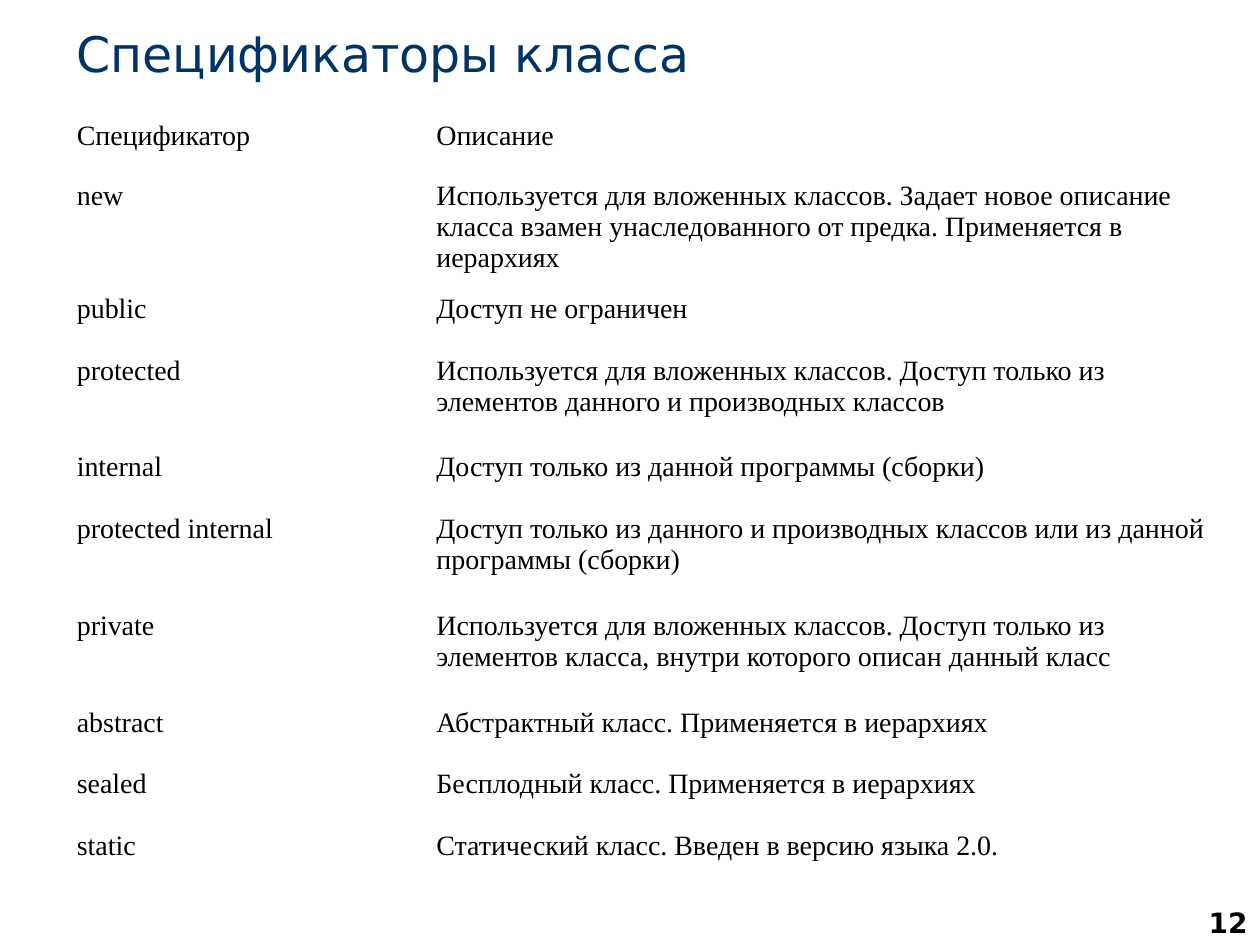
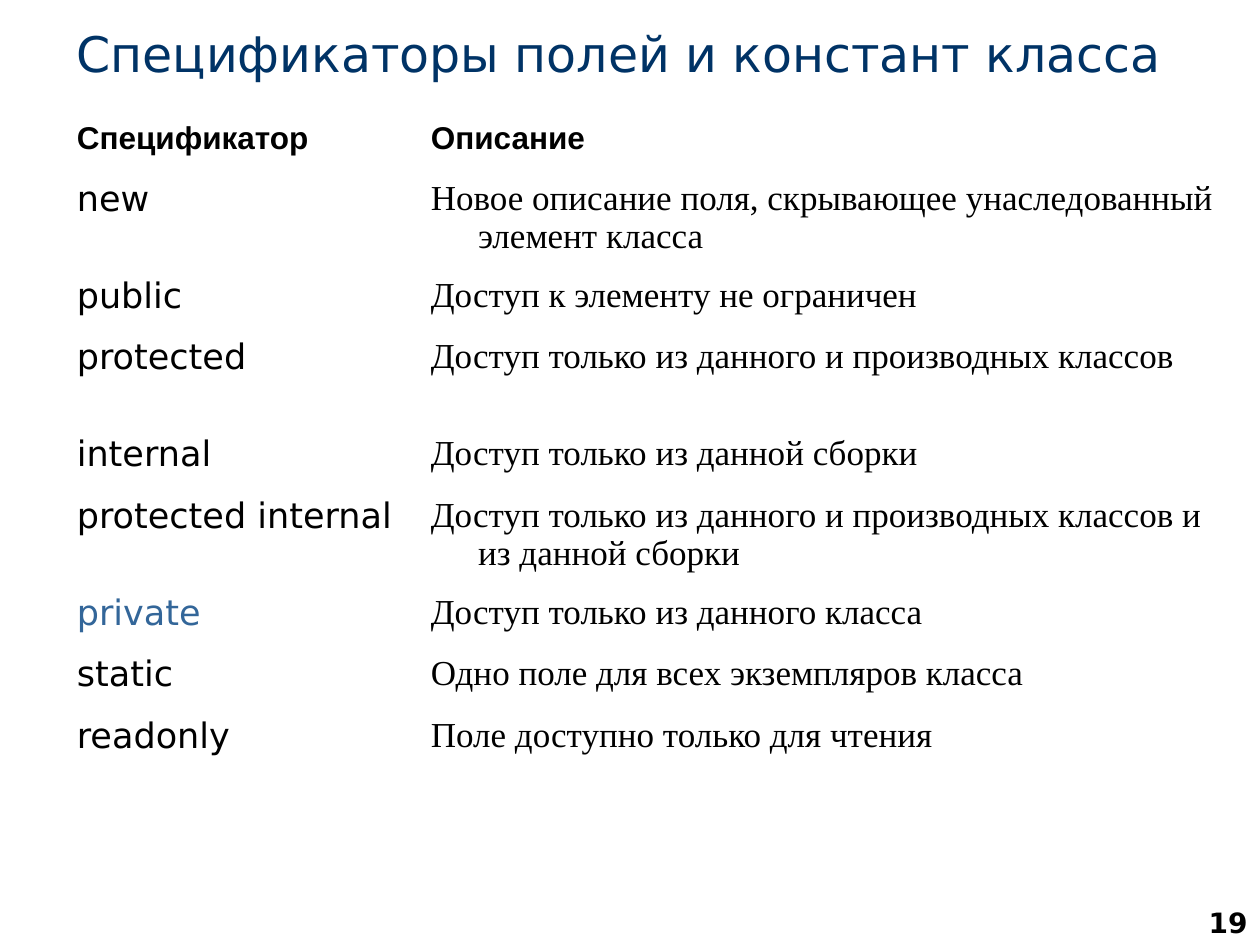
"""Build two slides of class and field specifier tables."""
from dataclasses import dataclass

from pptx import Presentation
from pptx.dml.color import RGBColor
from pptx.enum.text import MSO_ANCHOR, PP_ALIGN
from pptx.util import Pt


@dataclass(frozen=True)
class Theme:
    title_color: RGBColor = RGBColor(0x00, 0x33, 0x66)
    text_color: RGBColor = RGBColor(0x00, 0x00, 0x00)
    accent_color: RGBColor = RGBColor(0x33, 0x66, 0x99)
    sans: str = "DejaVu Sans"
    serif: str = "Times New Roman"
    header_sans: str = "Arial"
    title_size: int = 28
    number_size: int = 16
    compact_size: int = 16
    header_size: int = 18
    body_size: int = 20


theme = Theme()
LEFT, TABLE_TOP = 36.7, 65.5
HANGING_INDENT = 27
ROW_HEIGHTS = {1: 35.2, 2: 55.4, 3: 64.8}


def add_run(paragraph, text, font_name, size, color=theme.text_color, bold=False):
    run = paragraph.add_run()
    run.text = text
    run.font.name = font_name
    run.font.size = Pt(size)
    run.font.color.rgb = color
    run.font.bold = bold


def add_bottom_text(slide, left, top, width, height):
    frame = slide.shapes.add_textbox(Pt(left), Pt(top), Pt(width), Pt(height)).text_frame
    frame.word_wrap = True
    frame.vertical_anchor = MSO_ANCHOR.BOTTOM
    return frame.paragraphs[0]


class_rows = [
    ("Спецификатор", "Описание", 1),
    ("new", "Используется для вложенных классов. Задает новое описание класса взамен "
            "унаследованного от предка. Применяется в иерархиях", 3),
    ("public", "Доступ не ограничен", 1),
    ("protected", "Используется для вложенных классов. Доступ только из элементов "
                  "данного и производных классов", 2),
    ("internal", "Доступ только из данной программы (сборки)", 1),
    ("protected internal", "Доступ только из данного и производных классов или из данной "
                           "программы (сборки)", 2),
    ("private", "Используется для вложенных классов. Доступ только из элементов класса, "
                "внутри которого описан данный класс", 2),
    ("abstract", "Абстрактный класс. Применяется в иерархиях", 1),
    ("sealed", "Бесплодный класс. Применяется в иерархиях", 1),
    ("static", "Статический класс. Введен в версию языка 2.0.", 1),
]

field_rows = [
    ("Спецификатор", "Описание", 1),
    ("new", "Новое описание поля, скрывающее унаследованный элемент класса", 2),
    ("public", "Доступ к элементу не ограничен", 1),
    ("protected", "Доступ только из данного и производных классов", 2),
    ("internal", "Доступ только из данной сборки", 1),
    ("protected internal", "Доступ только из данного и производных классов и из данной сборки", 2),
    ("private", "Доступ только из данного класса", 1),
    ("static", "Одно поле для всех экземпляров класса", 1),
    ("readonly", "Поле доступно только для чтения", 1),
    ("", "", 2),
]

slides = [
    {
        "title": "Спецификаторы класса",
        "number": "12",
        "rows": class_rows,
        "header_height": 33.8,
        "column_widths": (205.5, 468),
        "indents": (HANGING_INDENT, 0),
        "header_style": (theme.serif, theme.compact_size),
        "header_bold": False,
        "column_fonts": (theme.serif, theme.serif),
        "body_size": theme.compact_size,
        "accented": "",
    },
    {
        "title": "Спецификаторы полей и констант класса",
        "number": "19",
        "rows": field_rows,
        "header_height": 33.1,
        "column_widths": (202.3, 471.6),
        "indents": (HANGING_INDENT, HANGING_INDENT),
        "header_style": (theme.header_sans, theme.header_size),
        "header_bold": True,
        "column_fonts": (theme.sans, theme.serif),
        "body_size": theme.body_size,
        "accented": "private",
    },
]

presentation = Presentation()
presentation.slide_width = Pt(720)
presentation.slide_height = Pt(540)

for content in slides:
    slide = presentation.slides.add_slide(presentation.slide_layouts[6])

    number = add_bottom_text(slide, 570, 504, 150, 36)
    number.alignment = PP_ALIGN.RIGHT
    add_run(number, content["number"], theme.sans, theme.number_size, bold=True)

    title = add_bottom_text(slide, LEFT, 9.4, 674.6, 41)
    add_run(title, content["title"], theme.sans, theme.title_size, theme.title_color)

    rows = content["rows"]
    heights = [content["header_height"]] + [ROW_HEIGHTS[lines] for _, _, lines in rows[1:]]
    widths = content["column_widths"]
    table = slide.shapes.add_table(
        len(rows), len(widths), Pt(LEFT), Pt(TABLE_TOP), Pt(sum(widths)), Pt(sum(heights))
    ).table
    table.first_row = False
    table.horz_banding = False
    for column, width in zip(table.columns, widths):
        column.width = Pt(width)

    for row_index, (specifier, description, _) in enumerate(rows):
        table.rows[row_index].height = Pt(heights[row_index])
        for column_index, text in enumerate((specifier, description)):
            cell = table.cell(row_index, column_index)
            cell.fill.background()
            if not text:
                continue
            paragraph = cell.text_frame.paragraphs[0]
            indent = Pt(content["indents"][column_index])
            properties = paragraph._p.get_or_add_pPr()
            properties.set("marL", str(indent))
            properties.set("indent", str(-indent))
            if row_index == 0:
                add_run(paragraph, text, *content["header_style"], bold=content["header_bold"])
            else:
                color = theme.accent_color if text == content["accented"] else theme.text_color
                font_name = content["column_fonts"][column_index]
                add_run(paragraph, text, font_name, content["body_size"], color)

presentation.save("out.pptx")
